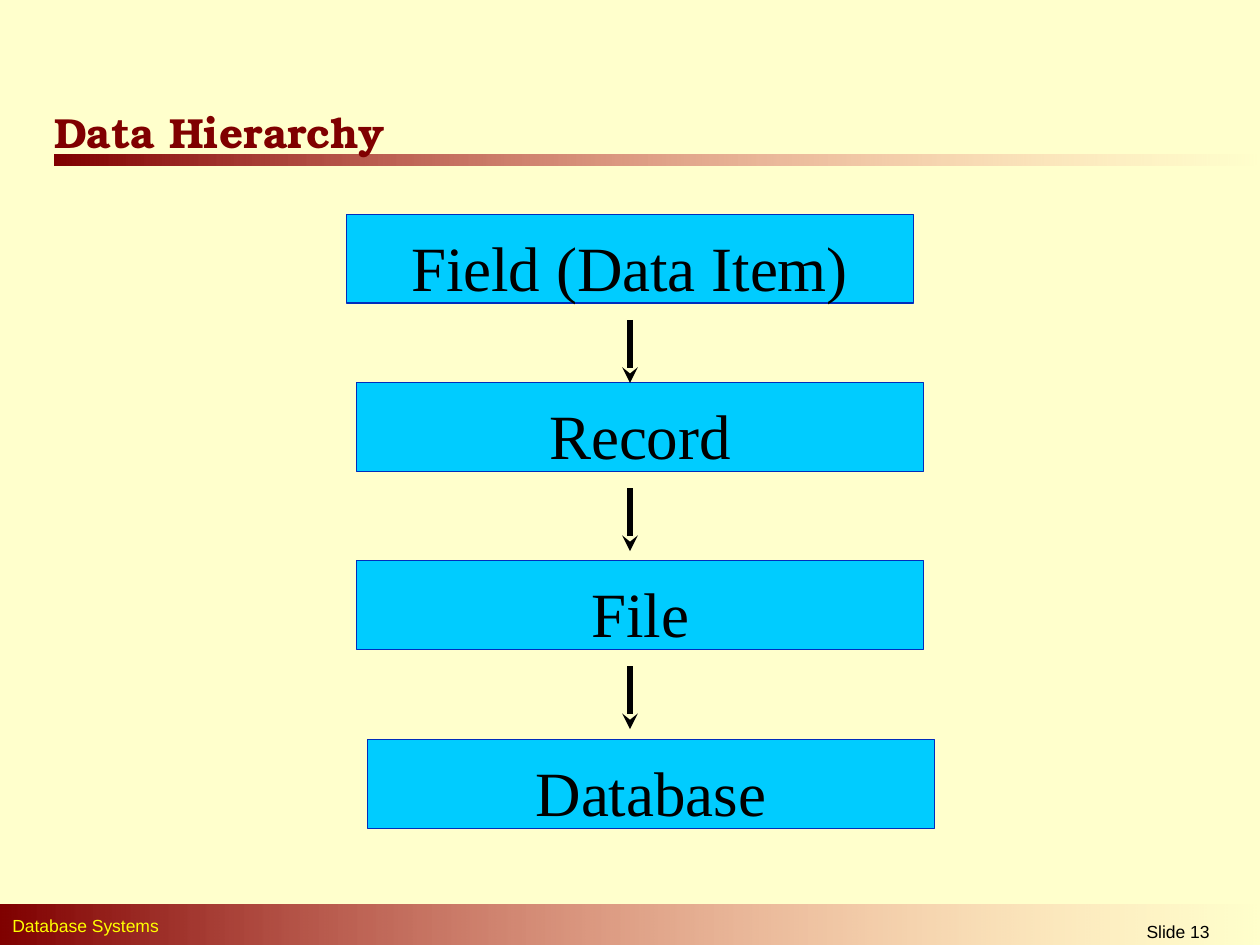
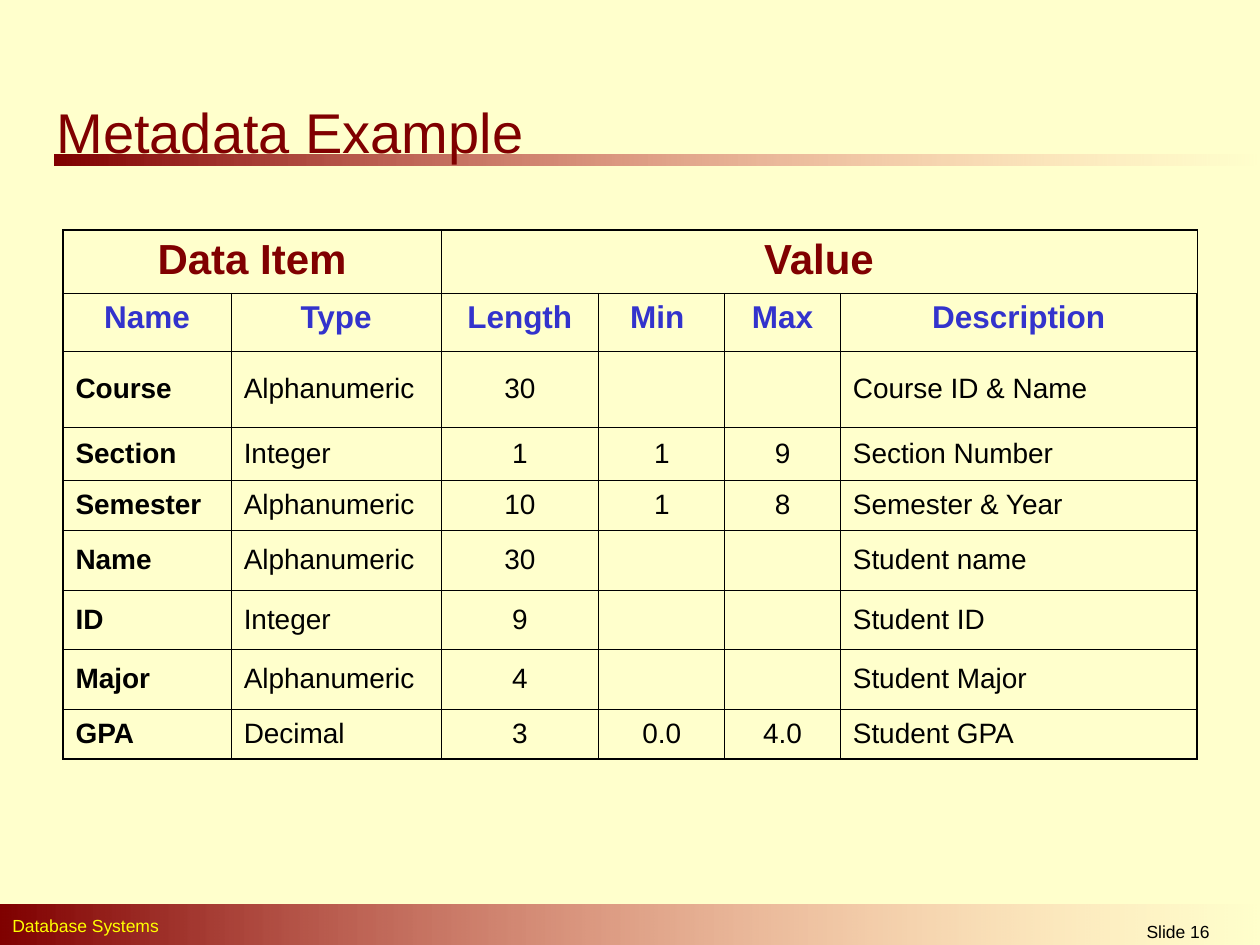
from lxml import etree
from pptx import Presentation
from pptx.dml.color import RGBColor
from pptx.enum.shapes import MSO_CONNECTOR, MSO_SHAPE
from pptx.enum.text import MSO_ANCHOR, PP_ALIGN
from pptx.oxml import parse_xml
from pptx.oxml.ns import nsdecls, qn
from pptx.util import Cm, Pt

RECT, LINE = MSO_SHAPE.RECTANGLE, MSO_CONNECTOR.STRAIGHT
LEFT, MID = PP_ALIGN.LEFT, PP_ALIGN.CENTER
TOP, CENTRE = MSO_ANCHOR.TOP, MSO_ANCHOR.MIDDLE

CREAM, MAROON, PINK = "FFFFCC", "800000", "FF8585"
YELLOW, BLACK, INDIGO = "FFFF00", "000000", "3333CC"
CYAN, NAVY = "00CCFF", "002DBC"


def color(code):
    return RGBColor.from_string(code)


def write(frame, text, ink, align=LEFT, anchor=TOP, **form):
    """Fill a text frame with one line in the given font format."""
    frame.word_wrap = True
    frame.vertical_anchor = anchor
    para = frame.paragraphs[0]
    para.text, para.alignment = text, align
    for key, val in form.items():
        setattr(para.font, key, val)
    para.font.color.rgb = color(ink)


deck = Presentation()
deck.slide_width, deck.slide_height = Cm(25.4), Cm(19.05)
ground = deck.slide_master.background.fill
ground.solid()
ground.fore_color.rgb = color(CREAM)

# Formats
small = {"name": "Arial", "size": Pt(10)}
serif = {"name": "TeX Gyre Bonum", "size": Pt(24), "bold": True}
plain = {"name": "Arial", "size": Pt(32)}
label = {"name": "Times New Roman", "size": Pt(36)}

# Shared parts: left, top, width, height in cm
bands = [(1.09, 3.12, 24.31, 0.22), (0, 18.24, 25.4, 0.81)]
heads = [
    ("Data Hierarchy", serif, (0.84, 1.93, 10, 1.47), "Slide 13"),
    ("Metadata Example", plain, (0.89, 1.8, 22.99, 1.68), "Slide 16"),
]
pages = []
for title, form, place, number in heads:
    page = deck.slides.add_slide(deck.slide_layouts[6])
    pages.append(page)

    # Bands that fade out to the right
    for box in bands:
        band = page.shapes.add_shape(RECT, *map(Cm, box))
        band.shadow.inherit = False
        band.line.fill.background()
        band.fill.gradient()
        band.fill.gradient_angle = 0
        for stop, code in zip(band.fill.gradient_stops, (MAROON, PINK)):
            stop.color.rgb = color(code)
        last = band._element.spPr.findall(".//" + qn("a:srgbClr"))[-1]
        etree.SubElement(last, qn("a:alpha"), val="0")

    # Footer and title
    texts = [
        ((0, 18.33, 16, 0.69), "Database Systems", YELLOW, LEFT, TOP, small),
        ((22.1, 18.44, 3.3, 0.61), number, BLACK, MID, TOP, small),
        (place, title, MAROON, LEFT, CENTRE, form),
    ]
    for box, text, ink, align, anchor, style in texts:
        frame = page.shapes.add_textbox(*map(Cm, box)).text_frame
        write(frame, text, ink, align, anchor, **style)

chain, meta = pages

# Hierarchy boxes
levels = [
    ("Field (Data Item)", 6.98, 4.32),
    ("Record", 7.19, 7.71),
    ("File", 7.19, 11.3),
    ("Database", 7.41, 14.91),
]
for text, left, top in levels:
    box = chain.shapes.add_shape(RECT, Cm(left), Cm(top), Cm(11.43), Cm(1.79))
    box.shadow.inherit = False
    box.fill.solid()
    box.fill.fore_color.rgb = color(CYAN)
    box.line.color.rgb = color(NAVY)
    box.line.width = Pt(0.75)
    frame = box.text_frame
    frame.margin_top, frame.margin_bottom = Cm(0.29), 0
    write(frame, text, BLACK, MID, **label)

# Arrows below every box but the last
for text, left, top in levels[:-1]:
    start = top + 2.13
    arrow = chain.shapes.add_connector(
        LINE, Cm(12.7), Cm(start), Cm(12.7), Cm(start + 1.27))
    arrow.line.color.rgb = color(BLACK)
    arrow.line.width = Pt(3)
    etree.SubElement(arrow.line._get_or_add_ln(), qn("a:tailEnd"), type="stealth")
    etree.SubElement(arrow._element.spPr, qn("a:effectLst"))

# Metadata table
rows = [
    ["Data Item", "", "Value", "", "", ""],
    ["Name", "Type", "Length", "Min ", "Max", "Description"],
    ["Course", "Alphanumeric", "30", "", "", "Course ID & Name"],
    ["Section", "Integer", "1", "1", "9", "Section Number"],
    ["Semester", "Alphanumeric", "10", "1", "8", "Semester & Year"],
    ["Name", "Alphanumeric", "30", "", "", "Student name"],
    ["ID", "Integer", "9", "", "", "Student ID"],
    ["Major", "Alphanumeric", "4", "", "", "Student Major"],
    ["GPA", "Decimal", "3", "0.0", "4.0", "Student GPA"],
]
wides = [3.39, 4.23, 3.18, 2.54, 2.33, 7.19]
highs = [1.27, 1.17, 1.53, 1.07, 1.01, 1.2, 1.2, 1.2, 1.01]
grid = meta.shapes.add_table(
    len(rows), len(wides), Cm(1.27), Cm(4.64), Cm(sum(wides)), Cm(sum(highs))).table
grid.first_row = grid.horz_banding = False
for col, wide in zip(grid.columns, wides):
    col.width = Cm(wide)
for row, high in zip(grid.rows, highs):
    row.height = Cm(high)
grid.cell(0, 0).merge(grid.cell(0, 1))
grid.cell(0, 2).merge(grid.cell(0, 5))

for r, row in enumerate(rows):
    for c, text in enumerate(row):
        cell = grid.cell(r, c)

        # Thick frame, thin inner lines
        edges = {"L": c == 0, "R": c == len(row) - 1,
                 "T": r == 0, "B": r == len(rows) - 1}
        props = cell._tc.get_or_add_tcPr()
        for side, outer in edges.items():
            width = Pt(1.08 if outer else 0.45)
            props.append(parse_xml(
                f'<a:ln{side} {nsdecls("a")} w="{width}"><a:solidFill>'
                f'<a:srgbClr val="{BLACK}"/></a:solidFill></a:ln{side}>'))
        cell.fill.background()

        # Two heading rows, then the data
        head = r < 2
        size, ink = [(24, MAROON), (18, INDIGO), (16, BLACK)][min(r, 2)]
        align = MID if head or 2 <= c <= 4 else LEFT
        cell.vertical_anchor = TOP if head else CENTRE
        para = cell.text_frame.paragraphs[0]
        para.text, para.alignment = text, align
        form = {"name": "Arial", "size": Pt(size), "bold": head or c == 0}
        for key, val in form.items():
            setattr(para.font, key, val)
        para.font.color.rgb = color(ink)

deck.save("out.pptx")
